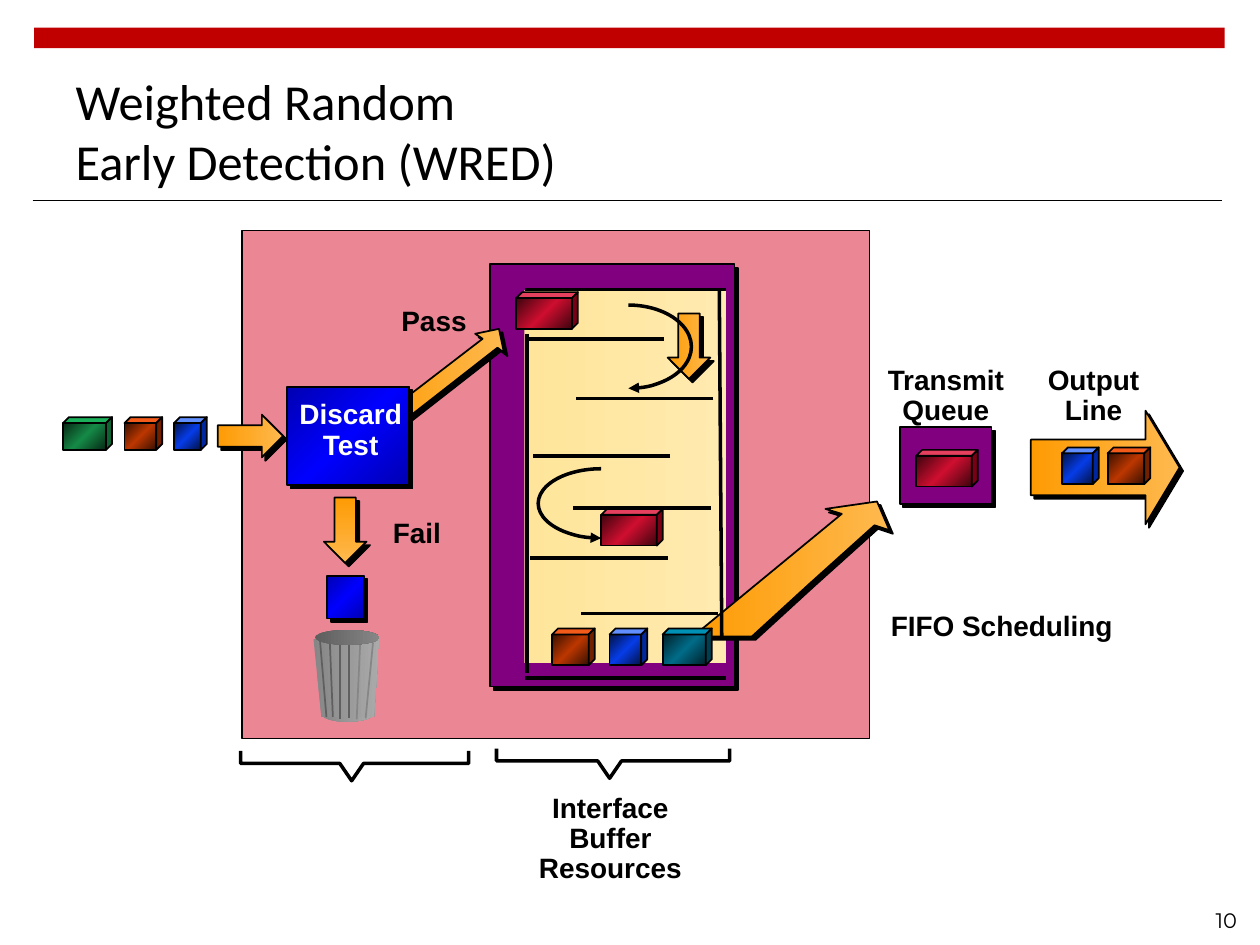
from copy import deepcopy

from lxml import etree
from pptx import Presentation
from pptx.dml.color import RGBColor
from pptx.enum.shapes import MSO_CONNECTOR, MSO_SHAPE
from pptx.enum.text import MSO_ANCHOR, MSO_AUTO_SIZE, PP_ALIGN
from pptx.oxml.ns import qn
from pptx.util import Cm, Pt

RECT, OVAL, ARC = MSO_SHAPE.RECTANGLE, MSO_SHAPE.OVAL, MSO_SHAPE.ARC
RIGHT_ARROW, DOWN_ARROW = MSO_SHAPE.RIGHT_ARROW, MSO_SHAPE.DOWN_ARROW
STRAIGHT = MSO_CONNECTOR.STRAIGHT
LEFT, CENTER, RIGHT = PP_ALIGN.LEFT, PP_ALIGN.CENTER, PP_ALIGN.RIGHT

COLORS = {
    "black": "000000", "white": "FFFFFF", "bar": "C00000",
    "panel": "EB8695", "purple": "800080",
    "ridge dark": "5F5F5F", "ridge light": "868686",
}
GRADIENTS = {
    "lane": ["FFE59B", "FFEAAF"],
    "arrow": ["FE9B03", "FEB94E"],
    "discard": ["0000B2", "0000FF", "0000B2"],
    "bin": ["868686", "AAAAAA"],
    "bin rim": ["5E5E5E", "868686"],
}
# Packet colours: front edge, front centre, top, side
PACKET_COLORS = {
    "green": ("062915", "158A47", "1BB15B", "0F6333"),
    "orange": ("381000", "BC3700", "F35B1B", "712000"),
    "blue": ("021245", "063DE8", "618FFD", "00279F"),
    "red": ("3E040E", "CF0E30", "E5405D", "790015"),
    "teal": ("002029", "006C88", "0091B7", "003F50"),
}


def paint(shape, fill=None, width=1, angle=0, shadow=False):
    """Fill with a hex string or a list of gradient stops (angle clockwise)."""
    shape.shadow.inherit = False
    properties = shape._element.spPr
    if fill is None:
        shape.fill.background()
    elif isinstance(fill, str):
        shape.fill.solid()
        shape.fill.fore_color.rgb = RGBColor.from_string(fill)
    else:
        shape.fill.gradient()
        shape.fill.gradient_angle = 360 - angle
        stops = properties.find(f".//{qn('a:gsLst')}")
        for _ in range(len(fill) - len(stops)):
            stops.append(deepcopy(stops[0]))
        for i, (stop, color) in enumerate(zip(shape.fill.gradient_stops, fill)):
            stop.position = i / (len(fill) - 1)
            stop.color.rgb = RGBColor.from_string(color)
    if width:
        shape.line.width = Pt(width)
        shape.line.color.rgb = RGBColor.from_string(COLORS["black"])
    else:
        shape.line.fill.background()
    if shadow:
        outer = etree.SubElement(properties.find(qn("a:effectLst")), qn("a:outerShdw"),
                                 blurRad="0", dist=str(Pt(2.8)), dir="2700000",
                                 algn="ctr", rotWithShape="0")
        etree.SubElement(outer, qn("a:srgbClr"), val=COLORS["black"])


def outline(shapes, points, closed=True):
    """Add a freeform through points given in centimetres."""
    corners = [(Cm(x), Cm(y)) for x, y in points]
    builder = shapes.build_freeform(*corners[0])
    builder.add_line_segments(corners[1:], close=closed)
    return builder.convert_to_shape()


prs = Presentation()
prs.slide_width, prs.slide_height = Cm(25.4), Cm(19.05)
slide = prs.slides.add_slide(prs.slide_layouts[5])
shapes = slide.shapes

# Title
title = shapes.title
title.left, title.top, title.width, title.height = Cm(1.27), Cm(1.32), Cm(16.92), Cm(2.62)
title.text_frame.text = "Weighted Random\vEarly Detection (WRED)"
title.text_frame.vertical_anchor = MSO_ANCHOR.MIDDLE
title.text_frame.auto_size = MSO_AUTO_SIZE.NONE
heading = title.text_frame.paragraphs[0]
heading.alignment = LEFT
for run in heading.runs:
    run.font.name, run.font.size = "Calibri", Pt(28.8)
    run.font.color.rgb = RGBColor.from_string(COLORS["black"])

# Slanted arrows: pass and FIFO scheduling
slanted_arrows = [
    [(7.52, 8.97), (10.03, 7.01), (10.16, 7.11), (10.06, 6.63),
     (9.58, 6.73), (9.73, 6.83), (7.44, 8.59), (7.44, 8.97)],
    [(16.33, 11.76), (17.63, 10.59), (17.93, 10.69), (17.68, 10.11),
     (16.64, 10.26), (16.97, 10.36), (13.97, 12.83), (15.16, 12.83)],
]

# Blocks: kind, left, top, width, height, fill, line width, angle, shadow
backdrop = [
    (RECT, 0.69, 0.56, 24, 0.41, COLORS["bar"], 0, 0, False),
    (RECT, 4.88, 4.65, 12.65, 10.24, COLORS["panel"], 1, 0, False),
    (RECT, 9.88, 5.33, 4.93, 8.51, COLORS["purple"], 1, 0, True),
    (RECT, 10.57, 5.84, 4.06, 7.52, GRADIENTS["lane"], 0, 0, False),
]
stages = [
    (RIGHT_ARROW, 4.39, 8.36, 1.32, 0.86, GRADIENTS["arrow"], 1, 0, True),
    (DOWN_ARROW, 6.53, 10.03, 0.86, 1.32, GRADIENTS["arrow"], 1, 90, True),
    (DOWN_ARROW, 13.46, 6.32, 0.86, 1.32, GRADIENTS["arrow"], 1, 0, True),
    (RECT, 5.79, 7.8, 2.46, 1.98, GRADIENTS["discard"], 1, 45, True),
    (RECT, 6.6, 11.61, 0.74, 0.86, GRADIENTS["discard"], 1, 45, True),
    (RECT, 18.14, 8.61, 1.85, 1.55, COLORS["purple"], 1, 0, True),
    (OVAL, 6.48, 14.25, 1.04, 0.3, GRADIENTS["bin"], 0, 0, False),
    (RIGHT_ARROW, 20.78, 8.28, 3, 2.29, GRADIENTS["arrow"], 1, 0, True),
]
for layer, arrows in ((backdrop, slanted_arrows), (stages, [])):
    for kind, x, y, w, h, *look in layer:
        block = shapes.add_shape(kind, Cm(x), Cm(y), Cm(w), Cm(h))
        paint(block, *look)
    for points in arrows:
        paint(outline(shapes, points), GRADIENTS["arrow"], shadow=True)
output_arrow = block
output_arrow.adjustments[0], output_arrow.adjustments[1] = 0.49, 0.3

bin_body = outline(shapes, [(6.32, 12.88), (6.48, 14.45), (7.54, 14.45), (7.65, 12.88)])
paint(bin_body, GRADIENTS["bin"], width=0)

# Lines: x1, y1, x2, y2, colour, width
lines = [
    (0.66, 4.04, 24.64, 4.04, "black", 0.6),
    (14.63, 5.84, 10.59, 5.84, "black", 2),
    (14.63, 13.67, 10.59, 13.67, "black", 2),
    (14.5, 5.84, 14.55, 12.85, "black", 2),
    (10.62, 6.73, 10.62, 13.56, "black", 2),
    (6.45, 12.9, 6.58, 14.45, "ridge dark", 1),
    (6.65, 12.98, 6.71, 14.45, "ridge dark", 1),
    (6.86, 12.93, 6.86, 14.5, "ridge dark", 1),
    (7.04, 12.95, 7.04, 14.48, "ridge dark", 1),
    (7.26, 12.98, 7.19, 14.5, "ridge light", 1),
    (7.52, 12.95, 7.37, 14.48, "ridge light", 1),
]
shelves = [(13.39, 6.83), (14.38, 8.03), (13.51, 9.19),
           (14.33, 10.24), (13.46, 11.25), (14.48, 12.37)]
lines += [(x, y, x - 2.77, y, "black", 2) for x, y in shelves]
for x1, y1, x2, y2, color, width in lines:
    line = shapes.add_connector(STRAIGHT, Cm(x1), Cm(y1), Cm(x2), Cm(y2))
    line.line.width = Pt(width)
    line.line.color.rgb = RGBColor.from_string(COLORS[color])
    etree.SubElement(line._element.spPr, qn("a:effectLst"))

bin_rim = shapes.add_shape(OVAL, Cm(6.35), Cm(12.7), Cm(1.3), Cm(0.3))
paint(bin_rim, GRADIENTS["bin rim"], width=0)

# Packets: colour, left, top, width, height
packets = [
    ("green", 1.27, 8.41, 0.99, 0.66), ("orange", 2.51, 8.41, 0.76, 0.66),
    ("blue", 3.51, 8.41, 0.66, 0.66), ("red", 10.41, 5.89, 1.24, 0.74),
    ("orange", 11.13, 12.67, 0.86, 0.74), ("blue", 12.29, 12.67, 0.76, 0.74),
    ("teal", 13.36, 12.67, 0.99, 0.74), ("red", 12.12, 10.26, 1.24, 0.74),
    ("red", 18.47, 9.07, 1.24, 0.74), ("blue", 21.41, 9.02, 0.74, 0.74),
    ("orange", 22.33, 9.02, 0.86, 0.74),
]
DEPTH = 0.12
for color, x, y, w, h in packets:
    edge, centre, top_color, side_color = PACKET_COLORS[color]
    packet = shapes.add_group_shape().shapes
    right, bottom = x + w, y + h
    front_right, front_top = right - DEPTH, y + DEPTH
    front = packet.add_shape(RECT, Cm(x), Cm(front_top), Cm(w - DEPTH), Cm(h - DEPTH))
    paint(front, [edge, centre, edge], angle=45)
    paint(outline(packet, [(x, front_top), (x + DEPTH, y), (right, y),
                           (front_right, front_top)]), top_color)
    paint(outline(packet, [(front_right, bottom), (right, bottom - DEPTH), (right, y),
                           (front_right, front_top)]), side_color)

# Curved arrows: left, top, width, height, start, end (degrees), arrowhead
curves = [(11.4, 6.15, 2.54, 1.68, 270, 90, "a:tailEnd"),
          (10.85, 9.45, 2.54, 1.4, 90, 270, "a:headEnd")]
for x, y, w, h, start, end, arrowhead in curves:
    curve = shapes.add_shape(ARC, Cm(x), Cm(y), Cm(w), Cm(h))
    curve.adjustments[0], curve.adjustments[1] = start * 0.6, end * 0.6
    paint(curve, width=2)
    etree.SubElement(curve.line._get_or_add_ln(), qn(arrowhead), type="triangle")

# Braces: left, right, tip, top
for left, right, tip, top in [(10.01, 14.71, 12.29, 15.09), (4.85, 9.45, 7.09, 15.14)]:
    bar = top + 0.25
    brace = outline(shapes, [(left, top), (left, bar), (tip - 0.24, bar), (tip, top + 0.6),
                             (tip + 0.24, bar), (right, bar), (right, top)], closed=False)
    paint(brace, width=2)

# Labels: text, left, top, width, height, alignment, colour, font, size, bold, spacing
label_look = ("Arial", 16, True, 0.9)
labels = [
    ("Interface Buffer Resources", 10.44, 15.88, 3.73, 2.11, CENTER, "black", *label_look),
    ("FIFO Scheduling", 17.68, 12.22, 5.49, 0.89, LEFT, "black", *label_look),
    ("Pass", 7.29, 6.07, 2.92, 0.89, CENTER, "black", *label_look),
    ("Fail", 6.93, 10.34, 2.95, 0.89, CENTER, "black", *label_look),
    ("Discard Test", 5.61, 7.95, 2.92, 1.5, CENTER, "white", *label_look),
    ("Transmit Queue", 17.42, 7.26, 3.3, 1.5, CENTER, "black", *label_look),
    ("Output Line", 20.37, 7.26, 3.35, 1.5, CENTER, "black", *label_look),
    ("10", 19.3, 18.03, 5.92, 1.02, RIGHT, "black", "Montserrat", 12, False, 1.0),
]
for text, x, y, w, h, align, color, font, size, bold, spacing in labels:
    frame = shapes.add_textbox(Cm(x), Cm(y), Cm(w), Cm(h)).text_frame
    frame.word_wrap = True
    frame.margin_left = frame.margin_right = Cm(0.28)
    frame.margin_top = frame.margin_bottom = Cm(0.13)
    frame.vertical_anchor = MSO_ANCHOR.MIDDLE if text == "10" else MSO_ANCHOR.TOP
    frame.text = text
    paragraph = frame.paragraphs[0]
    paragraph.alignment, paragraph.line_spacing = align, spacing
    run_font = paragraph.runs[0].font
    run_font.name, run_font.size, run_font.bold = font, Pt(size), bold
    run_font.color.rgb = RGBColor.from_string(COLORS[color])

prs.save("out.pptx")
